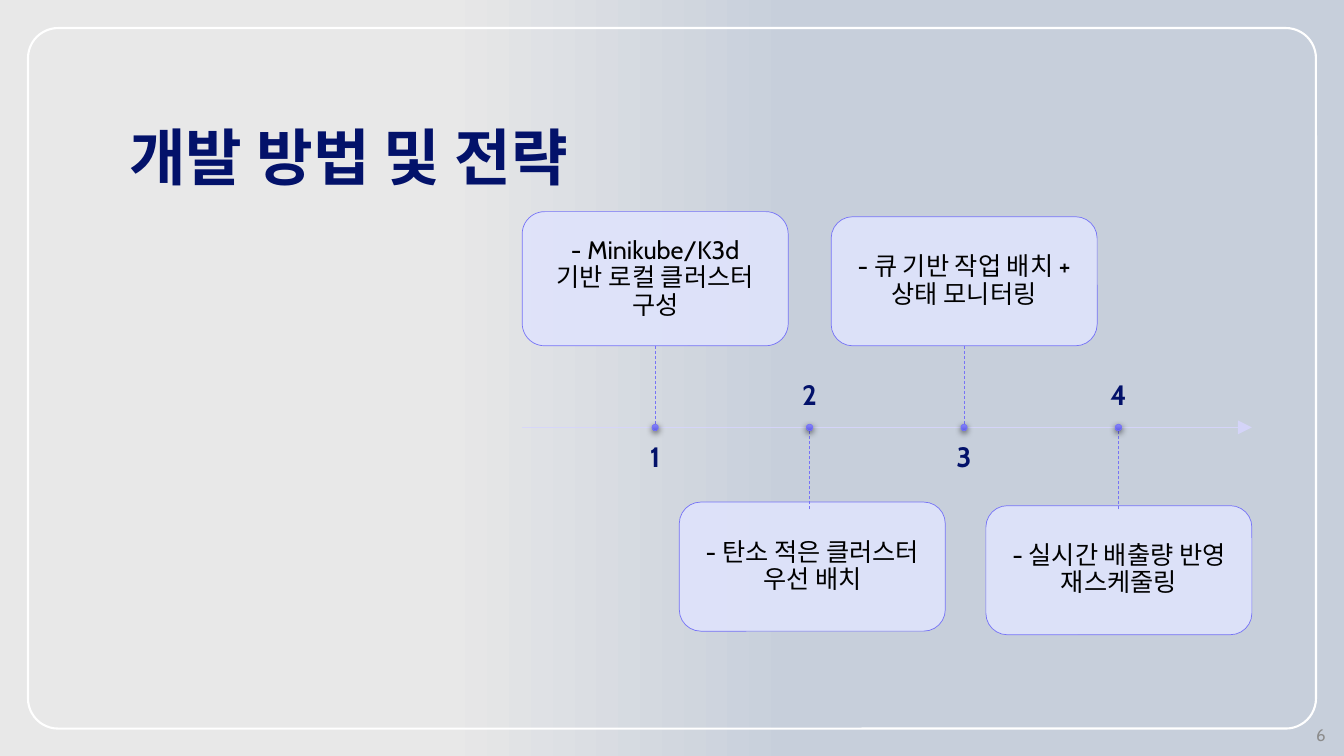
from dataclasses import dataclass

from lxml.etree import SubElement
from pptx import Presentation
from pptx.dml.color import RGBColor
from pptx.enum.dml import MSO_LINE
from pptx.enum.shapes import MSO_CONNECTOR as CONN, MSO_SHAPE as SHAPE
from pptx.enum.text import MSO_ANCHOR as ANCHOR, PP_ALIGN as ALIGN
from pptx.oxml.ns import qn
from pptx.util import Pt


@dataclass(frozen=True)
class Theme:
    """Colours, fonts and type sizes of the slide."""
    navy: str = "03126A"
    violet: str = "7673F7"
    lilac: str = "DFE3FC"
    axis: str = "D6D5FC"
    black: str = "000000"
    white: str = "FFFFFF"
    grey: str = "8C8C8C"
    backdrop: tuple = ((0.33, "E8E8E8"), (0.59, "C7CFDB"))
    dot: tuple = ((0, "8886FA"), (1, "605DE5"))
    latin: str = "Cabin"
    korean: str = "Noto Sans CJK KR"
    title: int = 44
    number: int = 20
    body: int = 18
    footer: int = 12


T = Theme()
AXIS_Y = 305.3
FIRST_X, STEP_X = 468, 110.3
CARD_W = 190
STEPS = [
    ("- Minikube/K3d 기반 로컬 클러스터 구성", 373, 151.2, 95.8),
    ("- 탄소 적은 클러스터 우선 배치", 485.2, 358.6, 92.2),
    ("- 큐 기반 작업 배치 + 상태 모니터링", 593.7, 154.8, 92.2),
    ("- 실시간 배출량 반영 재스케줄링", 704.2, 361.2, 92.2),
]


def rgb(code):
    """Turn a hex code into a colour."""
    return RGBColor.from_string(code)


def apply(obj, values):
    """Set each attribute of obj from a dict."""
    for name, value in values.items():
        setattr(obj, name, value)


def set_alpha(fill_parent, percent):
    """Make a solid fill partly transparent."""
    color = fill_parent.find(qn("a:solidFill"))[0]
    SubElement(color, qn("a:alpha"), val=str(percent * 1000))


def set_gradient(fill, stops, angle):
    """Give a fill a two-stop linear gradient."""
    fill.gradient()
    fill.gradient_angle = angle
    for stop, (position, code) in zip(fill.gradient_stops, stops):
        stop.position = position
        stop.color.rgb = rgb(code)


def set_line(line, code, width):
    """Set the colour and width of a line."""
    line.color.rgb = rgb(code)
    line.width = Pt(width)


def write(s, text, size, code, align=ALIGN.CENTER, anchor=ANCHOR.TOP,
          inset=(0, 0), spacing=0.9, font=T.latin, bold=False):
    """Write one paragraph into a shape."""
    tf = s.text_frame
    x, y = map(Pt, inset)
    apply(tf, {"word_wrap": True, "vertical_anchor": anchor,
               "margin_left": x, "margin_right": x,
               "margin_top": y, "margin_bottom": y})
    p = tf.paragraphs[0]
    apply(p, {"alignment": align, "line_spacing": spacing})
    r = p.add_run()
    r.text = text
    apply(r.font, {"name": font, "size": Pt(size), "bold": bold})
    r.font.color.rgb = rgb(code)


def add_text(sp, box, *args, **kwargs):
    """Add a text box."""
    write(sp.add_textbox(*map(Pt, box)), *args, **kwargs)


def add_preset(sp, kind, box, code, width):
    """Add an outlined preset shape without a shadow or fill."""
    s = sp.add_shape(kind, *map(Pt, box))
    s.shadow.inherit = False
    s.fill.background()
    set_line(s.line, code, width)
    return s


def add_line(sp, start, end, code):
    """Add a thin straight connector without a shadow."""
    c = sp.add_connector(CONN.STRAIGHT, *map(Pt, (*start, *end)))
    set_line(c.line, code, 0.5)
    SubElement(c._element.spPr, qn("a:effectLst"))
    return c


def add_axis(sp):
    """Add the timeline arrow."""
    c = add_line(sp, (373, AXIS_Y), (894.2, AXIS_Y), T.axis)
    ln = c._element.spPr.find(qn("a:ln"))
    set_alpha(ln, 90)
    SubElement(ln, qn("a:tailEnd"), type="triangle", w="lg", len="lg")


def add_card(sp, text, box):
    """Add a translucent rounded card with centred text."""
    s = add_preset(sp, SHAPE.ROUNDED_RECTANGLE, box, T.violet, 0.5)
    s.fill.solid()
    s.fill.fore_color.rgb = rgb(T.lilac)
    set_alpha(s._element.spPr, 90)
    write(s, text, T.body, T.black, anchor=ANCHOR.MIDDLE, inset=(14, 12.24))
    return s


def add_dot(sp, x):
    """Add a shaded timeline dot with a soft shadow."""
    s = add_preset(sp, SHAPE.OVAL, (x - 2.25, AXIS_Y - 2.25, 4.5, 4.5),
                   T.violet, 0.5)
    set_gradient(s.fill, T.dot, 270)
    shadow = SubElement(s._element.spPr.find(qn("a:effectLst")),
                        qn("a:outerShdw"), blurRad=str(Pt(4.5)),
                        dist=str(Pt(1.5)), dir="5400000")
    color = SubElement(shadow, qn("a:srgbClr"), val=T.black)
    SubElement(color, qn("a:alpha"), val="63000")


def add_step(sp, index, text, left, top, height):
    """Add one step: number, card, dashed link and dot."""
    x = FIRST_X + index * STEP_X
    above = top < AXIS_Y
    number_top, anchor = (316.8, ANCHOR.TOP) if above else (259.2, ANCHOR.BOTTOM)
    add_text(sp, (x - 83.5, number_top, 167, 34.6), str(index + 1),
             T.number, T.navy, anchor=anchor, bold=True)
    card = add_card(sp, text, (left, top, CARD_W, height))
    link_y = top + height if above else AXIS_Y + 58.3
    link = add_line(sp, (x, link_y), (x, AXIS_Y), T.violet)
    link.line.dash_style = MSO_LINE.DASH
    if above:
        link.begin_connect(card, 2)
        link.end_x = link.begin_x
    add_dot(sp, x)


def main():
    """Build the slide and save it."""
    prs = Presentation()
    apply(prs, {"slide_width": Pt(960), "slide_height": Pt(540)})
    slide = prs.slides.add_slide(prs.slide_layouts[6])
    set_gradient(slide.background.fill, T.backdrop, 0)
    sp = slide.shapes
    frame = add_preset(sp, SHAPE.ROUNDED_RECTANGLE, (20, 20, 920, 500.4),
                       T.white, 1.5)
    frame.adjustments[0] = 0.043
    add_text(sp, (85.3, 28.8, 827.3, 113), "개발 방법 및 전략", T.title, T.navy,
             align=ALIGN.LEFT, anchor=ANCHOR.BOTTOM, inset=(7.2, 3.6),
             font=T.korean, bold=True)
    add_axis(sp)
    for index, step in enumerate(STEPS):
        add_step(sp, index, *step)
    add_text(sp, (738, 517, 216, 18), "6", T.footer, T.grey, align=ALIGN.RIGHT,
             anchor=ANCHOR.MIDDLE, inset=(7.2, 3.6), spacing=0.9)
    prs.save("out.pptx")


if __name__ == "__main__":
    main()
